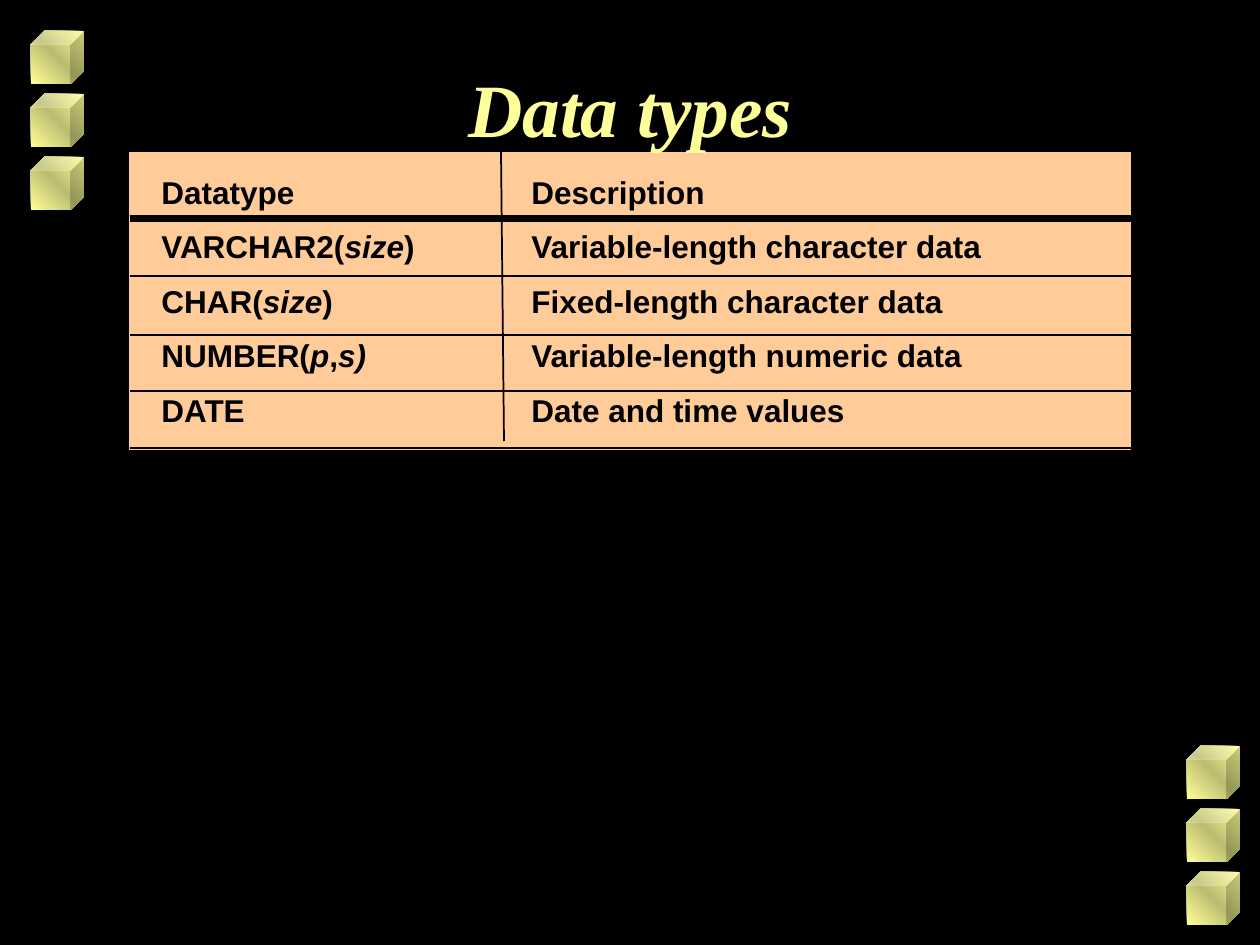
from copy import deepcopy

from pptx import Presentation
from pptx.dml.color import RGBColor
from pptx.enum.shapes import MSO_CONNECTOR, MSO_SHAPE
from pptx.enum.text import MSO_ANCHOR, PP_ALIGN
from pptx.oxml.ns import qn
from pptx.oxml.xmlchemy import OxmlElement
from pptx.util import Emu, Pt

STRAIGHT = MSO_CONNECTOR.STRAIGHT
CUBE, RECT = MSO_SHAPE.CUBE, MSO_SHAPE.RECTANGLE
MIDDLE, CENTER = MSO_ANCHOR.MIDDLE, PP_ALIGN.CENTER

BLACK = RGBColor(0x00, 0x00, 0x00)
YELLOW = RGBColor(0xFF, 0xFF, 0x99)
OLIVE = RGBColor(0xBC, 0xBC, 0x71)
PEACH = RGBColor(0xFF, 0xCC, 0x99)

# Content: each row is a list of (text, italic) runs
TITLE = "Data types"
ROWS = [
    [("Datatype\tDescription", False)],
    [("VARCHAR2(", False), ("size", True),
     (")\tVariable-length character data", False)],
    [("CHAR(", False), ("size", True),
     (")\tFixed-length character data", False)],
    [("NUMBER(", False), ("p", True), (",", False), ("s)", True),
     ("\tVariable-length numeric data", False)],
    [("DATE\tDate and time values", False)],
]

# Layout in px
CUBE_SIZE, CUBE_STEP = 53, 63
CUBE_STACKS = [(31, 31), (1187, 746)]
PANEL = (127, 150, 1006, 302)
TITLE_BOX = (127, 47, 1006, 121)
TEXT_BOX = (149, 171, 948, 275)
TAB_STOP = 370
RULE_LEFT, RULE_RIGHT = 130, 1134
RULES = [(219, 4), (276, 1), (335, 1), (391, 1), (448, 1)]  # y, weight
DIVIDER = (504, 441, 501, 150)


def px(n):
    return Emu(round(n * 914400 / 126))


def box(values):
    return [px(v) for v in values]


def add_cube(shapes, x, y):
    sp = shapes.add_shape(CUBE, *box((x, y, CUBE_SIZE, CUBE_SIZE)))
    sp.shadow.inherit = False
    sp.line.fill.background()
    sp.fill.gradient()
    sp.fill.gradient_angle = 45
    first = sp._element.spPr.find(".//" + qn("a:gs"))
    first.addnext(deepcopy(first))
    for stop, (position, color) in zip(
            sp.fill.gradient_stops, [(0, YELLOW), (0.5, OLIVE), (1, YELLOW)]):
        stop.position = position
        stop.color.rgb = color


def add_line(shapes, ends, weight):
    line = shapes.add_connector(STRAIGHT, *box(ends))
    line.line.color.rgb = BLACK
    line.line.width = Pt(weight)
    line._element.spPr.append(OxmlElement("a:effectLst"))


def style(font, name, size, color, italic):
    font.name, font.size, font.bold, font.italic = name, Pt(size), True, italic
    font.color.rgb = color


def add_tab_stop(p, position):
    tabs = OxmlElement("a:tabLst")
    tab = OxmlElement("a:tab")
    tab.set("pos", str(px(position)))
    tab.set("algn", "l")
    tabs.append(tab)
    p._p.get_or_add_pPr().append(tabs)


prs = Presentation()
prs.slide_width, prs.slide_height = px(1260), px(945)
slide = prs.slides.add_slide(prs.slide_layouts[5])
slide.background.fill.solid()
slide.background.fill.fore_color.rgb = BLACK
shapes = slide.shapes

# Corner cubes
for x, y in CUBE_STACKS:
    for i in range(3):
        add_cube(shapes, x, y + i * CUBE_STEP)

# Panel
panel = shapes.add_shape(RECT, *box(PANEL))
panel.shadow.inherit = False
panel.fill.solid()
panel.fill.fore_color.rgb = PEACH
panel.line.color.rgb = BLACK
panel.line.width = Pt(2)

# Title, in front of the panel
title = shapes.title
title.left, title.top, title.width, title.height = box(TITLE_BOX)
title.text_frame.text = TITLE
title.text_frame.vertical_anchor = MIDDLE
p = title.text_frame.paragraphs[0]
p.alignment = CENTER
style(p.runs[0].font, "Times New Roman", 43, YELLOW, True)
panel._element.addnext(title._element)

# Two columns of text, split by a tab stop
tf = shapes.add_textbox(*box(TEXT_BOX)).text_frame
tf.word_wrap = True
for i, row in enumerate(ROWS):
    p = tf.add_paragraph() if i else tf.paragraphs[0]
    p.line_spacing = 0.9
    p.space_before = Pt(11.7)
    add_tab_stop(p, TAB_STOP)
    for text, italic in row:
        r = p.add_run()
        r.text = text
        style(r.font, "Arial", 18, BLACK, italic)

# Row rules and column divider
for y, weight in RULES:
    add_line(shapes, (RULE_LEFT, y, RULE_RIGHT, y), weight)
add_line(shapes, DIVIDER, 1)

prs.save("out.pptx")
